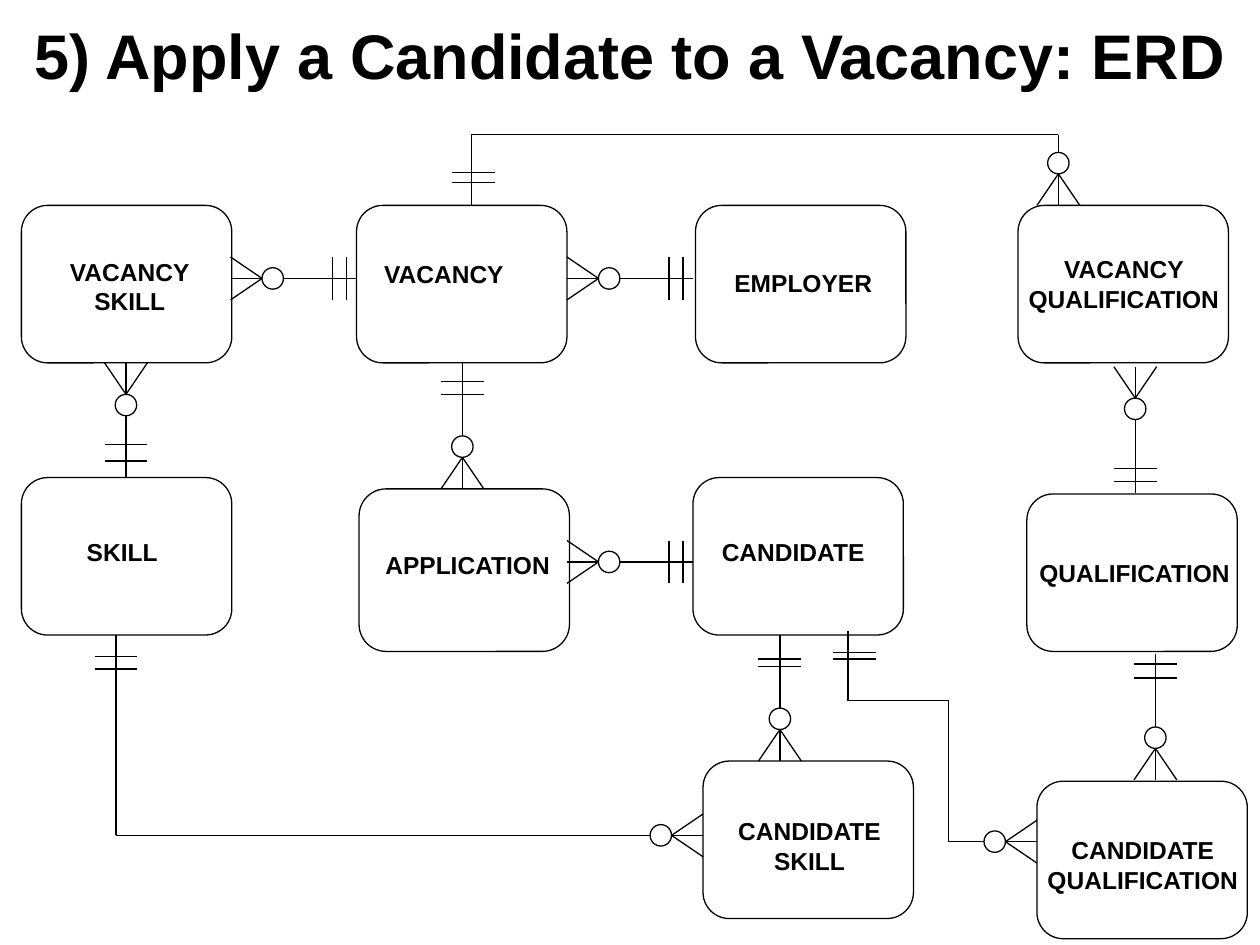
from itertools import pairwise
from math import hypot

from lxml import etree
from pptx import Presentation
from pptx import util as u
from pptx.dml.color import RGBColor
from pptx.enum import shapes, text
from pptx.oxml.ns import qn

BLACK = RGBColor(0x00, 0x00, 0x00)
WHITE = RGBColor(0xFF, 0xFF, 0xFF)
LINE_WIDTH = u.Pt(0.74)
FOOT_LENGTH, HALF_SPREAD, RING = 0.25, 0.17, 0.17

# Label, box left, top, height, label left, top, width
ENTITIES = [
    ("VACANCY\nSKILL", 0.17, 1.63, 1.25, 0.45, 1.99, 1.16),
    ("VACANCY", 2.83, 1.63, 1.25, 2.95, 2.01, 1.16),
    ("EMPLOYER", 5.52, 1.63, 1.25, 5.73, 2.08, 1.29),
    ("VACANCY\nQUALIFICATION", 8.08, 1.63, 1.25, 8.06, 1.97, 1.72),
    ("SKILL", 0.17, 3.79, 1.25, 0.59, 4.21, 0.76),
    ("APPLICATION", 2.85, 3.88, 1.29, 2.96, 4.32, 1.52),
    ("CANDIDATE", 5.5, 3.79, 1.25, 5.63, 4.21, 1.35),
    ("QUALIFICATION", 8.15, 3.92, 1.25, 8.15, 4.38, 1.72),
    ("CANDIDATE\nSKILL", 5.58, 6.04, 1.25, 5.75, 6.43, 1.35),
    ("CANDIDATE\nQUALIFICATION", 8.23, 6.2, 1.25, 8.21, 6.58, 1.72),
]

# Route from the "one" end to the "many" end, bar distances, sideways bar shift
RELATIONSHIPS = [
    ([(2.83, 2.21), (1.83, 2.21)], (0.08, 0.19), 0),
    ([(5.5, 2.21), (4.5, 2.21)], (0.08, 0.19), 0),
    ([(5.5, 4.46), (4.5, 4.46)], (0.08, 0.19), 0),
    ([(1, 3.79), (1, 2.88)], (0.13, 0.26), 0),
    ([(3.67, 2.88), (3.67, 3.88)], (0.15, 0.25), 0),
    ([(6.19, 5.04), (6.19, 6.04)], (0.19, 0.25), 0),
    ([(9.01, 3.91), (9.01, 2.91)], (0.09, 0.19), 0),
    ([(9.17, 5.19), (9.17, 6.19)], (0.08, 0.19), 0),
    ([(3.74, 1.63), (3.74, 1.07), (8.4, 1.07), (8.4, 1.63)], (0.18, 0.26), 0.02),
    ([(0.92, 5.04), (0.92, 6.63), (5.58, 6.63)], (0.17, 0.27), 0),
    ([(6.73, 5.01), (6.73, 5.56), (7.53, 5.56), (7.53, 6.68), (8.23, 6.68)],
     (0.17, 0.22), 0.05),
]

prs = Presentation()
prs.slide_width, prs.slide_height = u.Inches(10), u.Inches(7.5)
slide = prs.slides.add_slide(prs.slide_layouts[5])


def add_line(start, end):
    """Draw a thin black line between two points in inches."""
    line = slide.shapes.add_connector(
        shapes.MSO_CONNECTOR.STRAIGHT, *map(u.Inches, (*start, *end)))
    line.line.color.rgb = BLACK
    line.line.width = LINE_WIDTH
    etree.SubElement(line._element.spPr, qn("a:effectLst"))


def add_outline(kind, left, top, width, height):
    """Draw a white preset shape with a thin black outline."""
    outline = slide.shapes.add_shape(
        kind, *map(u.Inches, (left, top, width, height)))
    outline.shadow.inherit = False
    outline.fill.solid()
    outline.fill.fore_color.rgb = WHITE
    outline.line.color.rgb = BLACK
    outline.line.width = LINE_WIDTH


title = slide.shapes.title
title.left, title.top, title.width, title.height = map(u.Inches, (0, 0.08, 10, 0.7))
title.text_frame.text = "5) Apply a Candidate to a Vacancy: ERD"
text_frames = [(title.text_frame, 36, True)]

for label, left, top, height, label_left, label_top, label_width in ENTITIES:
    add_outline(shapes.MSO_SHAPE.FLOWCHART_ALTERNATE_PROCESS, left, top, 1.67, height)
    two_lines = "\n" in label
    caption = slide.shapes.add_textbox(*map(
        u.Inches, (label_left, label_top, label_width, 0.57 if two_lines else 0.34)))
    caption.text_frame.text = label
    text_frames.append((caption.text_frame, 14, two_lines))

for frame, size, centred in text_frames:
    frame.word_wrap = size == 36
    frame.auto_size = text.MSO_AUTO_SIZE.NONE
    frame.vertical_anchor = text.MSO_ANCHOR.TOP
    font_format = {"name": "Arial", "size": u.Pt(size), "bold": True}
    for paragraph in frame.paragraphs:
        paragraph.alignment = text.PP_ALIGN.CENTER if centred else text.PP_ALIGN.LEFT
        font = paragraph.runs[0].font
        font.color.rgb = BLACK
        for attribute, value in font_format.items():
            setattr(font, attribute, value)

for route, bar_distances, bar_shift in RELATIONSHIPS:
    for start, end in pairwise(route):
        add_line(start, end)

    # Two bars across the line at the "one" end
    (x, y), (next_x, next_y) = route[:2]
    length = hypot(next_x - x, next_y - y)
    dx, dy = (next_x - x) / length, (next_y - y) / length
    for distance in bar_distances:
        bar_x = x + dx * distance + abs(dy) * bar_shift
        bar_y = y + dy * distance + abs(dx) * bar_shift
        add_line((bar_x - dy * HALF_SPREAD, bar_y - dx * HALF_SPREAD),
                 (bar_x + dy * HALF_SPREAD, bar_y + dx * HALF_SPREAD))

    # Crow's foot and ring at the "many" end
    (next_x, next_y), (x, y) = route[-2:]
    length = hypot(next_x - x, next_y - y)
    dx, dy = (next_x - x) / length, (next_y - y) / length
    apex = (x + dx * FOOT_LENGTH, y + dy * FOOT_LENGTH)
    for side in (-HALF_SPREAD, HALF_SPREAD):
        add_line(apex, (x + dy * side, y + dx * side))
    ring_x, ring_y = apex[0] + dx * RING / 2, apex[1] + dy * RING / 2
    add_outline(shapes.MSO_SHAPE.OVAL, ring_x - RING / 2, ring_y - RING / 2, RING, RING)

prs.save("out.pptx")
